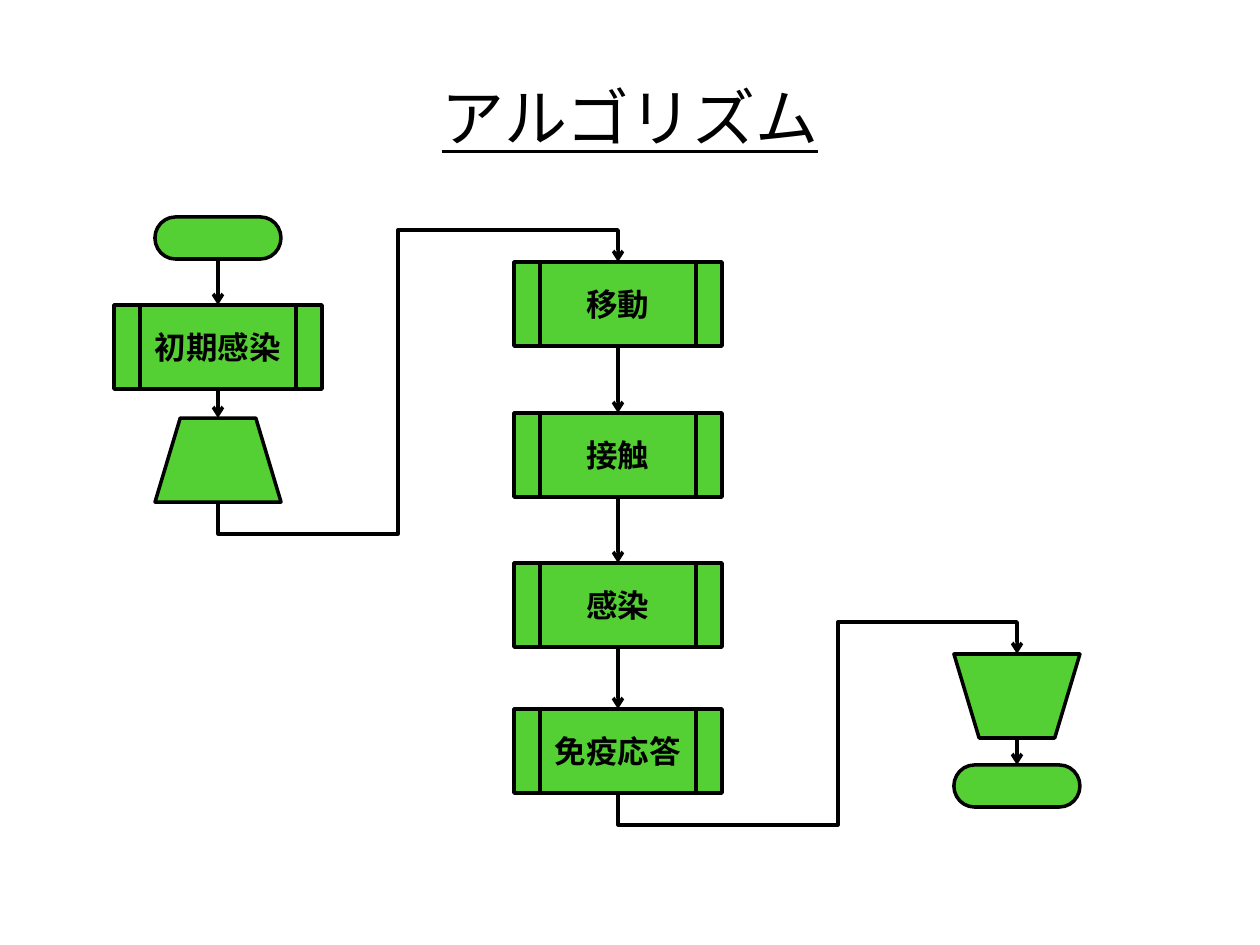
"""Build a flowchart slide of an infection simulation algorithm."""
import pptx
import pptx.util
import pptx.dml.color
import pptx.enum.shapes
import pptx.enum.text
import pptx.oxml
import pptx.oxml.ns

PX = 914400 / 126
COLORS = {"fill": "55D034", "ink": "000000"}
FONT = "Calibri"
MSO = pptx.enum.shapes.MSO_SHAPE
KINDS = {
    "terminal": (MSO.FLOWCHART_TERMINATOR, 126, 42, 0),
    "process": (MSO.FLOWCHART_PREDEFINED_PROCESS, 208, 84, 0),
    "loop_start": (MSO.FLOWCHART_MANUAL_OPERATION, 126, 84, 180),
    "loop_end": (MSO.FLOWCHART_MANUAL_OPERATION, 126, 84, 0),
}
TITLE = ("アルゴリズム", 63, 38, 1134, 157)
COLUMNS = [
    (218, [("terminal", 217, ""), ("process", 305, "初期感染"),
           ("loop_start", 418, "")]),
    (618, [("process", 262, "移動"), ("process", 413, "接触"),
           ("process", 563, "感染"), ("process", 709, "免疫応答")]),
    (1017, [("loop_end", 654, ""), ("terminal", 765, "")]),
]
TURNS = [398, 838]
STUB = 32


def emu(px):
    return pptx.util.Emu(round(px * PX))


def rgb(name):
    return pptx.dml.color.RGBColor.from_string(COLORS[name])


def write(tf, text, size, bold=False, underline=False):
    tf.word_wrap = True
    tf.vertical_anchor = pptx.enum.text.MSO_ANCHOR.MIDDLE
    p = tf.paragraphs[0]
    p.text = text
    p.alignment = pptx.enum.text.PP_ALIGN.CENTER
    p.font.name, p.font.size = FONT, pptx.util.Pt(size)
    p.font.bold, p.font.underline = bold, underline
    p.font.color.rgb = rgb("ink")


def outline(sp):
    sp.line.color.rgb = rgb("ink")
    sp.line.width = pptx.util.Pt(2)


def add_step(s, kind, center, top, text):
    shape, width, height, turn = KINDS[kind]
    sp = s.shapes.add_shape(shape, emu(center - width / 2), emu(top),
                            emu(width), emu(height))
    sp.shadow.inherit = False
    sp.rotation = turn
    sp.fill.solid()
    sp.fill.fore_color.rgb = rgb("fill")
    outline(sp)
    if text:
        write(sp.text_frame, text, 18, bold=True)


def add_arrow(s, x1, y1, x2, y2):
    sp = s.shapes.add_connector(pptx.enum.shapes.MSO_CONNECTOR.STRAIGHT,
                                emu(x1), emu(y1), emu(x2), emu(y2))
    outline(sp)
    qn, ns = pptx.oxml.ns.qn, pptx.oxml.ns.nsdecls("a")
    props = sp._element.spPr
    line = props.find(qn("a:ln"))
    line.append(pptx.oxml.parse_xml(f'<a:tailEnd {ns} type="arrow"/>'))
    props.append(pptx.oxml.parse_xml(f"<a:effectLst {ns}/>"))
    return sp


def add_return(s, x1, y1, x2, y2, turn):
    sp = add_arrow(s, x1, y1, x2, y2)
    rise, run = y1 - y2, x2 - x1
    sp.left, sp.top = emu((x1 + x2 - rise) / 2), emu((y1 + y2 - run) / 2)
    sp.width, sp.height = emu(rise), emu(run)
    qn, ns = pptx.oxml.ns.qn, pptx.oxml.ns.nsdecls("a")
    props = sp._element.spPr
    xfrm = props.find(qn("a:xfrm"))
    for key, value in (("rot", "5400000"), ("flipH", "1"), ("flipV", "1")):
        xfrm.set(key, value)
    ratios = (-STUB / rise, (turn - x1) / run, 1 + STUB / rise)
    guides = "".join(f'<a:gd name="adj{i}" fmla="val {round(ratio * 100000)}"/>'
                     for i, ratio in enumerate(ratios, 1))
    props.replace(props.find(qn("a:prstGeom")), pptx.oxml.parse_xml(
        f'<a:prstGeom {ns} prst="bentConnector5"><a:avLst>{guides}</a:avLst></a:prstGeom>'))


def main():
    prs = pptx.Presentation()
    prs.slide_width, prs.slide_height = emu(1260), emu(945)
    s = prs.slides.add_slide(prs.slide_layouts[6])
    text, *box = TITLE
    title = s.shapes.add_textbox(*map(emu, box))
    write(title.text_frame, text, 36, underline=True)
    for center, steps in COLUMNS:
        for kind, top, label in steps:
            add_step(s, kind, center, top, label)
        for (kind, top, _), (_, below, _) in zip(steps, steps[1:]):
            add_arrow(s, center, top + KINDS[kind][2], center, below)
    for (x1, source), (x2, target), turn in zip(COLUMNS, COLUMNS[1:], TURNS):
        kind, top, _ = source[-1]
        add_return(s, x1, top + KINDS[kind][2], x2, target[0][1], turn)
    prs.save("out.pptx")


if __name__ == "__main__":
    main()
